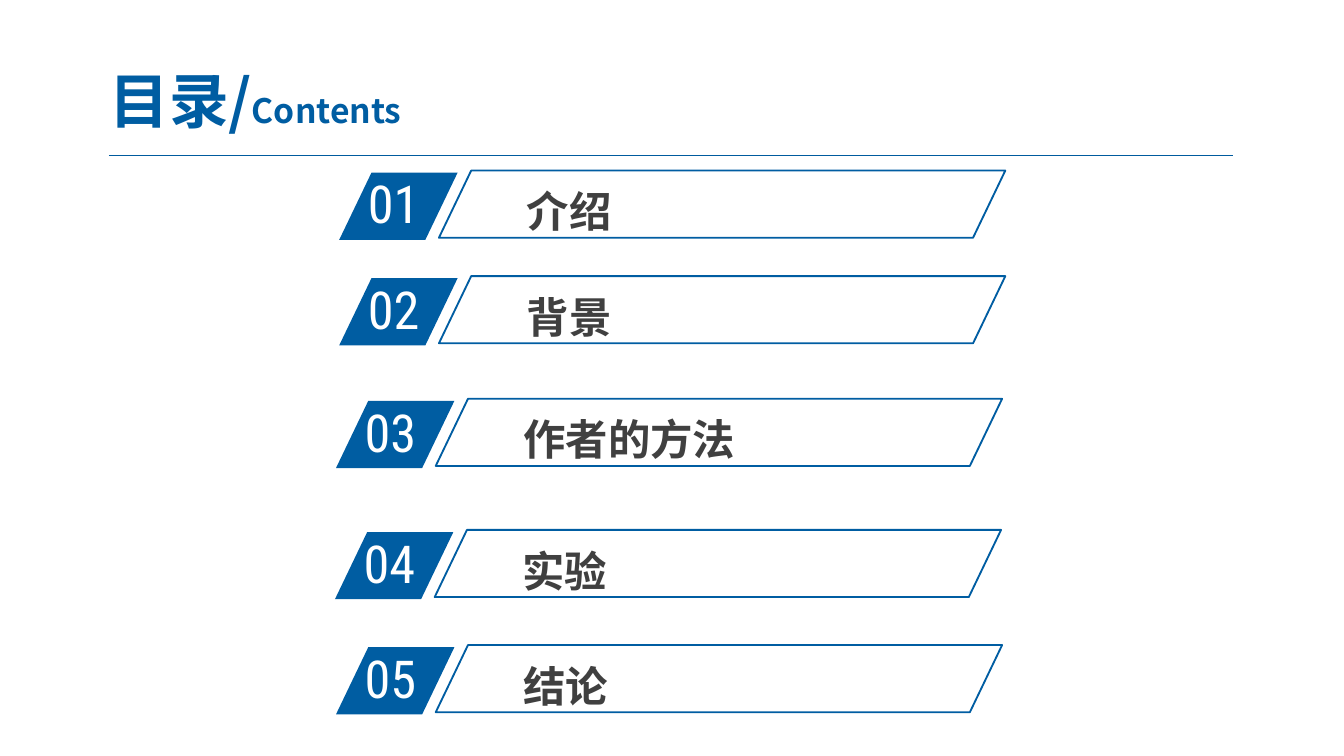
from dataclasses import dataclass

from lxml import etree
from pptx import Presentation
from pptx.dml.color import RGBColor
from pptx.enum.shapes import MSO_CONNECTOR, MSO_SHAPE
from pptx.enum.text import MSO_ANCHOR, PP_ALIGN
from pptx.oxml.ns import qn
from pptx.util import Inches, Pt

PARALLELOGRAM = MSO_SHAPE.PARALLELOGRAM
STRAIGHT = MSO_CONNECTOR.STRAIGHT
MIDDLE = MSO_ANCHOR.MIDDLE
CENTER = PP_ALIGN.CENTER


@dataclass(frozen=True)
class Theme:
    blue: RGBColor = RGBColor(0x00, 0x5D, 0xA2)
    rule: RGBColor = RGBColor(0x00, 0x5B, 0x9E)
    gray: RGBColor = RGBColor(0x40, 0x40, 0x40)
    white: RGBColor = RGBColor(0xFF, 0xFF, 0xFF)
    cjk: str = "Noto Sans CJK SC"
    condensed: str = "Roboto Condensed"
    title: float = 40.3
    subtitle: float = 22.7
    number: float = 35.3
    label: float = 28.6


theme = Theme()


def add_text(p, text, *, size, color, font, bold=False):
    r = p.add_run()
    r.text = text
    r.font.size = Pt(size)
    r.font.bold = bold
    r.font.name = font
    r.font.color.rgb = color
    ea = etree.SubElement(r.font._element, qn("a:ea"))
    ea.set("typeface", font)


def add_slanted(slide, left, top, width, height):
    sp = slide.shapes.add_shape(PARALLELOGRAM, Inches(left), Inches(top),
                                Inches(width), Inches(height))
    sp.adjustments[0] = 0.48
    sp.shadow.inherit = False
    return sp


prs = Presentation()
prs.slide_width = Inches(12.6)
prs.slide_height = Inches(7.09)
slide = prs.slides.add_slide(prs.slide_layouts[5])
slide.background.fill.solid()
slide.background.fill.fore_color.rgb = theme.white

# Title
title = slide.shapes.title
title.left, title.top = Inches(0.84), Inches(0.59)
title.width, title.height = Inches(3.11), Inches(0.68)
tf = title.text_frame
tf.word_wrap = False
tf.vertical_anchor = MIDDLE
p = tf.paragraphs[0]
p.alignment = CENTER
for text, size in (("目录/", theme.title), ("Contents", theme.subtitle)):
    add_text(p, text, size=size, color=theme.blue, font=theme.cjk, bold=True)

# Rule under the title
rule = slide.shapes.add_connector(STRAIGHT, Inches(1.02), Inches(1.46),
                                  Inches(11.56), Inches(1.46))
rule.line.color.rgb = theme.rule
rule.line.width = Pt(0.75)
etree.SubElement(rule._element.spPr, qn("a:effectLst"))

# Contents rows: label, left and top of the number badge
rows = [
    ("介绍", 3.18, 1.62),
    ("背景", 3.18, 2.61),
    ("作者的方法", 3.15, 3.76),
    ("实验", 3.14, 4.99),
    ("结论", 3.15, 6.07),
]
for number, (label, left, top) in enumerate(rows, 1):
    badge = add_slanted(slide, left, top, 1.11, 0.63)
    badge.fill.solid()
    badge.fill.fore_color.rgb = theme.blue
    badge.line.fill.background()

    frame = add_slanted(slide, left + 0.935, top - 0.02, 5.31, 0.63)
    frame.fill.background()
    frame.line.color.rgb = theme.blue
    frame.line.width = Pt(1.25)

    texts = [
        (f"{number:02d}", 0.17, -0.06, 1.06, 0.69,
         dict(size=theme.number, color=theme.white, font=theme.condensed)),
        (label, 1.66, 0.07, 3.9, 0.58,
         dict(size=theme.label, color=theme.gray, font=theme.cjk, bold=True)),
    ]
    for text, dx, dy, width, height, style in texts:
        box = slide.shapes.add_textbox(Inches(left + dx), Inches(top + dy),
                                       Inches(width), Inches(height))
        box.text_frame.word_wrap = True
        add_text(box.text_frame.paragraphs[0], text, **style)

prs.save("out.pptx")
